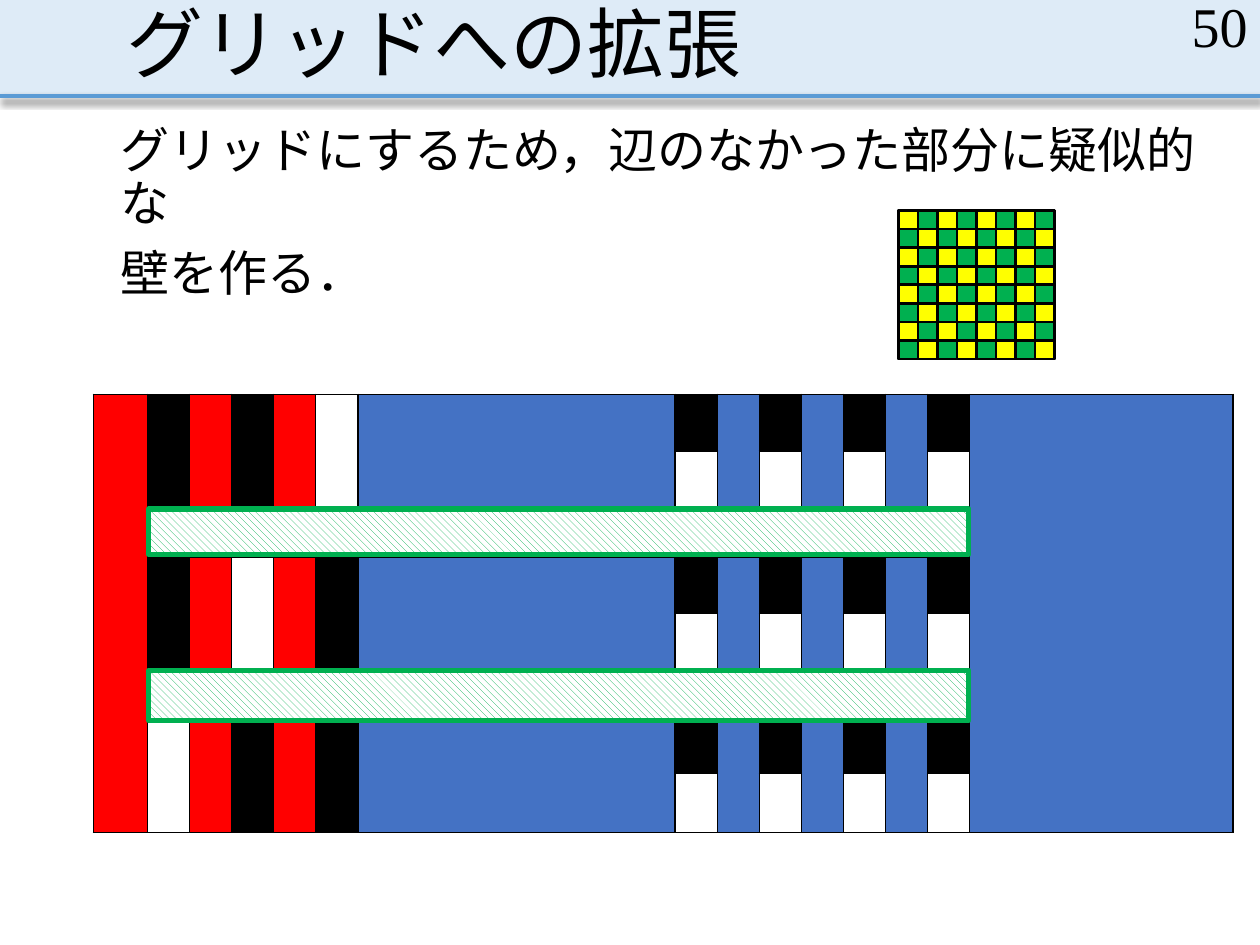
from dataclasses import dataclass

from lxml import etree
from pptx import Presentation
from pptx.dml.color import RGBColor
from pptx.enum import dml, shapes, text
from pptx.oxml import parse_xml
from pptx.oxml.ns import nsdecls, qn
from pptx.util import Inches, Pt

FONT = "Times New Roman"
COLORS = {
    "black": "000000", "white": "FFFFFF", "red": "FF0000", "blue": "4472C4",
    "green": "00B050", "yellow": "FFFF00", "band": "DEEBF7", "rule": "5B9BD5",
}
CODES = {"K": "black", "W": "white", "R": "red", "B": "blue"}

TABLE_SIZE = (9.05, 3.48)
SIDE, CENTRE, RIGHT = 0.43, 2.52, 2.09
NARROW = (TABLE_SIZE[0] - SIDE - CENTRE - RIGHT) / 12
COLUMN_WIDTHS = [SIDE] + [NARROW] * 5 + [CENTRE] + [NARROW] * 7 + [RIGHT]
ROW_HEIGHTS = [0.45, 0.45, 0.39, 0.45, 0.45, 0.35, 0.47, 0.47]
STRIPES = {0: "KRKRW", 3: "KRWRK", 6: "WRKRK"}
TEETH = "BKBKBKBK"
WALL_ROWS = (2, 5)


@dataclass
class Area:
    left: float
    top: float
    width: float
    height: float

    def lengths(self):
        return [Inches(v) for v in (self.left, self.top, self.width, self.height)]


WALLS = [Area(1.18, 4.04, 6.51, 0.36), Area(1.18, 5.32, 6.51, 0.4)]
BOARD = Area(7.13, 1.67, 1.24, 1.18)
BOARD_CELLS = 8


def rgb(name: str) -> RGBColor:
    return RGBColor.from_string(COLORS[name])


def add_rect(parent, area: Area, fill: str, line: str = "", width: float = 1):
    rect = parent.add_shape(shapes.MSO_SHAPE.RECTANGLE, *area.lengths())
    rect.shadow.inherit = False
    rect.fill.solid()
    rect.fill.fore_color.rgb = rgb(fill)
    if line:
        rect.line.color.rgb = rgb(line)
        rect.line.width = Pt(width)
    else:
        rect.line.fill.background()
    return rect


def style_text(frame, size: float) -> None:
    for para in frame.paragraphs:
        for span in para.runs:
            span.font.name = FONT
            span.font.size = Pt(size)
            span.font.color.rgb = rgb("black")


def add_header(page) -> None:
    title = page.shapes.title
    title.left, title.top, title.width, title.height = Area(0.9, 0, 8.25, 0.76).lengths()
    frame = title.text_frame
    frame.text = "グリッドへの拡張"
    frame.vertical_anchor = text.MSO_ANCHOR.BOTTOM
    frame.auto_size = text.MSO_AUTO_SIZE.NONE
    frame.paragraphs[0].alignment = text.PP_ALIGN.LEFT
    frame.paragraphs[0].line_spacing = 0.9
    style_text(frame, 44)

    band = add_rect(page.shapes, Area(0, 0, 10, 0.76), "band")
    rule = page.shapes.add_connector(
        shapes.MSO_CONNECTOR.STRAIGHT, 0, Inches(0.76), Inches(10), Inches(0.76))
    rule.line.color.rgb = rgb("rule")
    rule.line.width = Pt(2.25)
    rule._element.spPr.append(parse_xml(
        f'<a:effectLst {nsdecls("a")}><a:outerShdw blurRad="{Pt(4)}" dist="{Pt(2.5)}" '
        'dir="5400000" rotWithShape="0"><a:srgbClr val="000000"><a:alpha val="47000"/>'
        '</a:srgbClr></a:outerShdw></a:effectLst>'))
    for backdrop in (band, rule):
        title._element.addprevious(backdrop._element)


def add_page_number(page) -> None:
    frame = page.shapes.add_textbox(*Area(7.75, 0, 2.25, 0.4).lengths()).text_frame
    frame.word_wrap = True
    frame.vertical_anchor = text.MSO_ANCHOR.MIDDLE
    frame.text = "50"
    frame.paragraphs[0].alignment = text.PP_ALIGN.RIGHT
    style_text(frame, 32)


def add_body(page) -> None:
    frame = page.shapes.add_textbox(*Area(0.96, 0.95, 8.61, 1.16).lengths()).text_frame
    frame.word_wrap = True
    frame.margin_left = frame.margin_right = 0
    frame.text = "グリッドにするため，辺のなかった部分に疑似的な\n壁を作る．"
    for para in frame.paragraphs:
        para.line_spacing = 0.9
        para.space_before = Pt(10)
    style_text(frame, 28)


def paint_cell(cell, color: str) -> None:
    """Fill a cell and give it thin black borders."""
    cell.margin_top = cell.margin_bottom = 0
    properties = cell._tc.get_or_add_tcPr()
    for side in ("a:lnL", "a:lnR", "a:lnT", "a:lnB"):
        border = etree.SubElement(properties, qn(side), w=str(Pt(1)))
        solid = etree.SubElement(border, qn("a:solidFill"))
        etree.SubElement(solid, qn("a:srgbClr"), val=COLORS["black"])
    cell.fill.solid()
    cell.fill.fore_color.rgb = rgb(color)


def add_gadget_table(page) -> None:
    rows, columns = len(ROW_HEIGHTS), len(COLUMN_WIDTHS)
    table = page.shapes.add_table(
        rows, columns, *Area(0.74, 3.13, *TABLE_SIZE).lengths()).table
    table.first_row = table.horz_banding = False
    for column, width in zip(table.columns, COLUMN_WIDTHS):
        column.width = Inches(width)
    for row, height in zip(table.rows, ROW_HEIGHTS):
        row.height = Inches(height)

    colors = [["white"] * columns for _ in range(rows)]
    merges = [(0, 0, rows - 1, 0), (0, columns - 1, rows - 1, columns - 1)]
    merges += [(row, 1, row, columns - 2) for row in WALL_ROWS]
    for top, stripes in STRIPES.items():
        for column, code in enumerate(stripes + TEETH, start=1):
            colors[top][column] = CODES[code]
            is_tooth = column > len(stripes) and code == "K"
            if not is_tooth:
                colors[top + 1][column] = CODES[code]
                merges.append((top, column, top + 1, column))
    for row in range(rows):
        colors[row][0], colors[row][-1] = "red", "blue"
        for column in range(columns):
            paint_cell(table.cell(row, column), colors[row][column])
    for top, left, bottom, right in merges:
        table.cell(top, left).merge(table.cell(bottom, right))


def add_wall(page, area: Area) -> None:
    wall = add_rect(page.shapes, area, "white", "green", 3)
    wall.fill.patterned()
    wall.fill.pattern = dml.MSO_PATTERN.WIDE_DOWNWARD_DIAGONAL
    wall.fill.fore_color.rgb = rgb("green")
    wall.fill.back_color.rgb = rgb("white")


def add_checkerboard(page) -> None:
    group = page.shapes.add_group_shape().shapes
    add_rect(group, BOARD, "yellow", "black", 1.5)
    width, height = BOARD.width / BOARD_CELLS, BOARD.height / BOARD_CELLS
    for row in range(BOARD_CELLS):
        for column in range(BOARD_CELLS):
            square = Area(BOARD.left + column * width, BOARD.top + row * height, width, height)
            fill = "green" if (row + column) % 2 else "yellow"
            add_rect(group, square, fill, "black", 1.5)


def main() -> None:
    deck = Presentation()
    deck.slide_width, deck.slide_height = Inches(10), Inches(7.5)
    page = deck.slides.add_slide(deck.slide_layouts.get_by_name("Title Only"))
    add_header(page)
    add_page_number(page)
    add_body(page)
    add_gadget_table(page)
    for area in WALLS:
        add_wall(page, area)
    add_checkerboard(page)
    deck.save("out.pptx")


if __name__ == "__main__":
    main()
